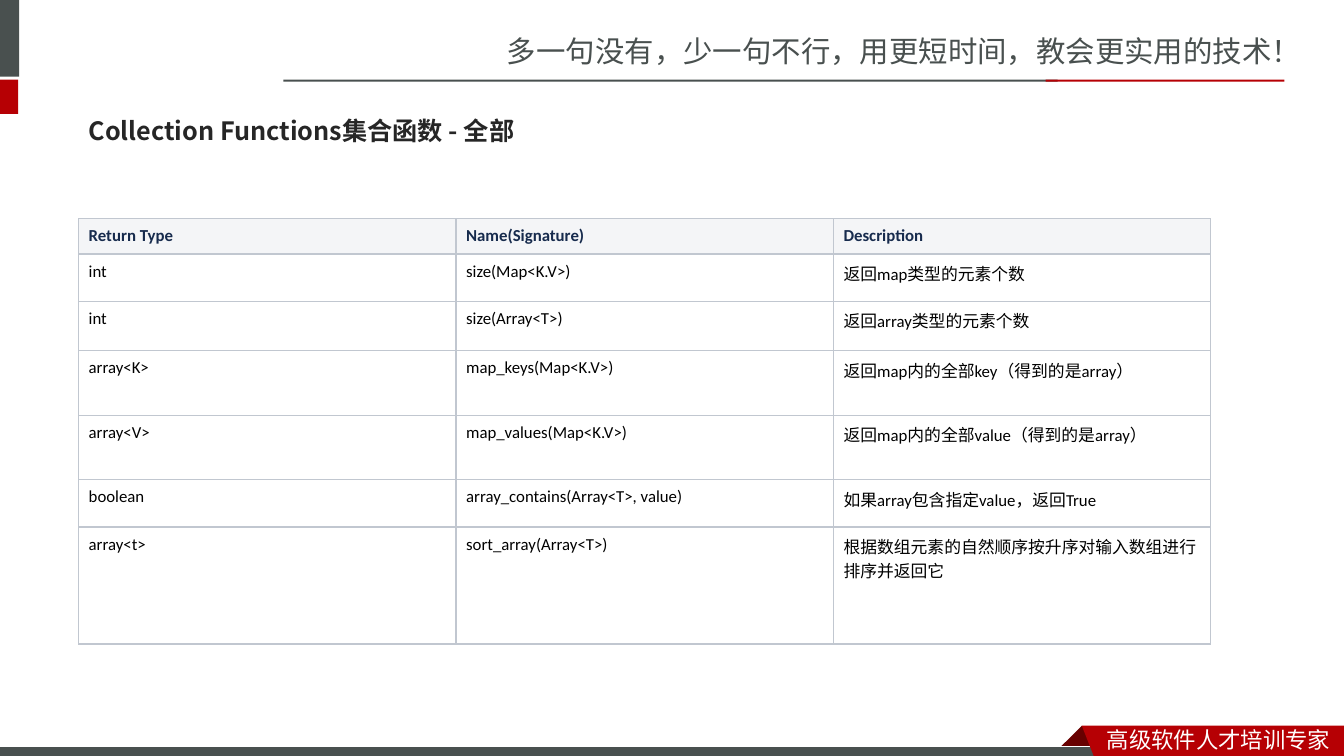
import pptx
import pptx.dml.color
import pptx.enum.shapes
import pptx.enum.text
import pptx.oxml
import pptx.oxml.ns
import pptx.util
from lxml import etree

Inches = pptx.util.Inches
Pt = pptx.util.Pt

GREY, RED, DARK_RED, WHITE = "49504F", "B60004", "680000", "FFFFFF"
HEADER_FILL, HEADER_TEXT, BORDER = "F4F5F7", "172B4D", "C1C7D0"
CJK = "Noto Sans CJK SC"

SLOGAN = "多一句没有，少一句不行，用更短时间，教会更实用的技术！"
TITLE = "Collection Functions集合函数 - 全部"
BADGE = "高级软件人才培训专家"

# left, top, width, height, fill
TOP_BARS = [
    (-0.06, 0, 0.25, 0.76, GREY),
    (-0.06, 0.79, 0.24, 0.34, RED),
    (2.81, 0.79, 7.68, 0.02, GREY),
    (10.37, 0.79, 2.37, 0.02, RED),
]
BOTTOM_BAR = (-0.01, 7.41, 11, 0.12, GREY)
RIBBON_FOLD = [(10.73, 7.2), (10.95, 7.42), (10.94, 7.43), (10.52, 7.43), (10.51, 7.42)]
RIBBON = [(10.73, 7.2), (13.33, 7.2), (13.33, 7.54), (10.86, 7.53)]

FUNCTIONS = [
    ("Return Type", "Name(Signature)", "Description"),
    ("int", "size(Map<K.V>)", "返回map类型的元素个数"),
    ("int", "size(Array<T>)", "返回array类型的元素个数"),
    ("array<K>", "map_keys(Map<K.V>)", "返回map内的全部key（得到的是array）"),
    ("array<V>", "map_values(Map<K.V>)", "返回map内的全部value（得到的是array）"),
    ("boolean", "array_contains(Array<T>, value)", "如果array包含指定value，返回True"),
    ("array<t>", "sort_array(Array<T>)", "根据数组元素的自然顺序按升序对输入数组进行排序并返回它"),
]
ROW_HEIGHTS = [0.35, 0.47, 0.49, 0.64, 0.64, 0.47, 1.16]
TABLE_LEFT, TABLE_TOP, TABLE_WIDTH = 0.78, 2.17, 11.23


def color(hex_text):
    return pptx.dml.color.RGBColor.from_string(hex_text)


def write(para, text, size, latin, east_asian, ink, bold=False):
    """Add one run with separate Latin and East Asian typefaces."""
    span = para.add_run()
    span.text = text
    span.font.size = Pt(size)
    span.font.bold = bold
    span.font.color.rgb = color(ink)
    span.font.name = latin
    latin_tag = span.font._element.find(pptx.oxml.ns.qn("a:latin"))
    east_tag = etree.Element(pptx.oxml.ns.qn("a:ea"), typeface=east_asian)
    latin_tag.addnext(east_tag)


def paint(shape, fill):
    shape.shadow.inherit = False
    shape.fill.solid()
    shape.fill.fore_color.rgb = color(fill)
    shape.line.fill.background()


def add_bar(page, left, top, width, height, fill):
    bar = page.shapes.add_shape(pptx.enum.shapes.MSO_SHAPE.RECTANGLE,
                                Inches(left), Inches(top), Inches(width), Inches(height))
    paint(bar, fill)
    return bar


def add_outline(page, points, fill):
    corners = [(Inches(x), Inches(y)) for x, y in points]
    builder = page.shapes.build_freeform(*corners[0])
    builder.add_line_segments(corners[1:], close=True)
    paint(builder.convert_to_shape(), fill)


def add_text(page, left, top, width, height, text, size, font, ink, bold=False):
    box = page.shapes.add_textbox(Inches(left), Inches(top), Inches(width), Inches(height))
    box.text_frame.word_wrap = True
    write(box.text_frame.paragraphs[0], text, size, font, font, ink, bold)
    return box


def add_borders(cell):
    properties = cell._tc.get_or_add_tcPr()
    for side in ("lnL", "lnR", "lnT", "lnB"):
        properties.append(pptx.oxml.parse_xml(
            f'<a:{side} {pptx.oxml.ns.nsdecls("a")} w="{Pt(1)}"><a:solidFill>'
            f'<a:srgbClr val="{BORDER}"/></a:solidFill></a:{side}>'))


def fill_cell(cell, text, is_header):
    cell.margin_left = Inches(0.1)
    cell.margin_right = Inches(0.16 if is_header else 0.1)
    cell.margin_top = cell.margin_bottom = Inches(0.07)
    add_borders(cell)
    if is_header:
        cell.fill.solid()
        cell.fill.fore_color.rgb = color(HEADER_FILL)
    else:
        cell.fill.background()
    ink = HEADER_TEXT if is_header else "000000"
    write(cell.text_frame.paragraphs[0], text, 12, "Calibri", CJK, ink, is_header)


def add_function_table(page):
    columns = len(FUNCTIONS[0])
    table = page.shapes.add_table(
        len(FUNCTIONS), columns, Inches(TABLE_LEFT), Inches(TABLE_TOP),
        Inches(TABLE_WIDTH), Inches(sum(ROW_HEIGHTS))).table
    table.horz_banding = False
    for column in table.columns:
        column.width = Inches(TABLE_WIDTH / columns)
    for r, (texts, height) in enumerate(zip(FUNCTIONS, ROW_HEIGHTS)):
        table.rows[r].height = Inches(height)
        for c, text in enumerate(texts):
            fill_cell(table.cell(r, c), text, r == 0)


def main():
    deck = pptx.Presentation()
    deck.slide_width, deck.slide_height = Inches(13.33), Inches(7.5)
    page = deck.slides.add_slide(deck.slide_layouts[6])

    add_text(page, 4.93, 0.28, 8.41, 0.45, SLOGAN, 21, CJK, GREY)
    for bar in TOP_BARS:
        add_bar(page, *bar)
    add_outline(page, RIBBON_FOLD, DARK_RED)
    floor = add_bar(page, *BOTTOM_BAR)
    floor.line.color.rgb = color(WHITE)
    floor.line.width = Pt(0.75)
    add_outline(page, RIBBON, RED)
    add_text(page, 10.88, 7.15, 2.45, 0.37, BADGE, 16, CJK, WHITE)

    title = add_text(page, 0.78, 1.03, 11.7, 0.57, TITLE, 18, "Noto Sans CJK JP", "262626", True)
    title.text_frame.vertical_anchor = pptx.enum.text.MSO_ANCHOR.MIDDLE
    title.text_frame.paragraphs[0].line_spacing = 0.9

    add_function_table(page)
    deck.save("out.pptx")


if __name__ == "__main__":
    main()
